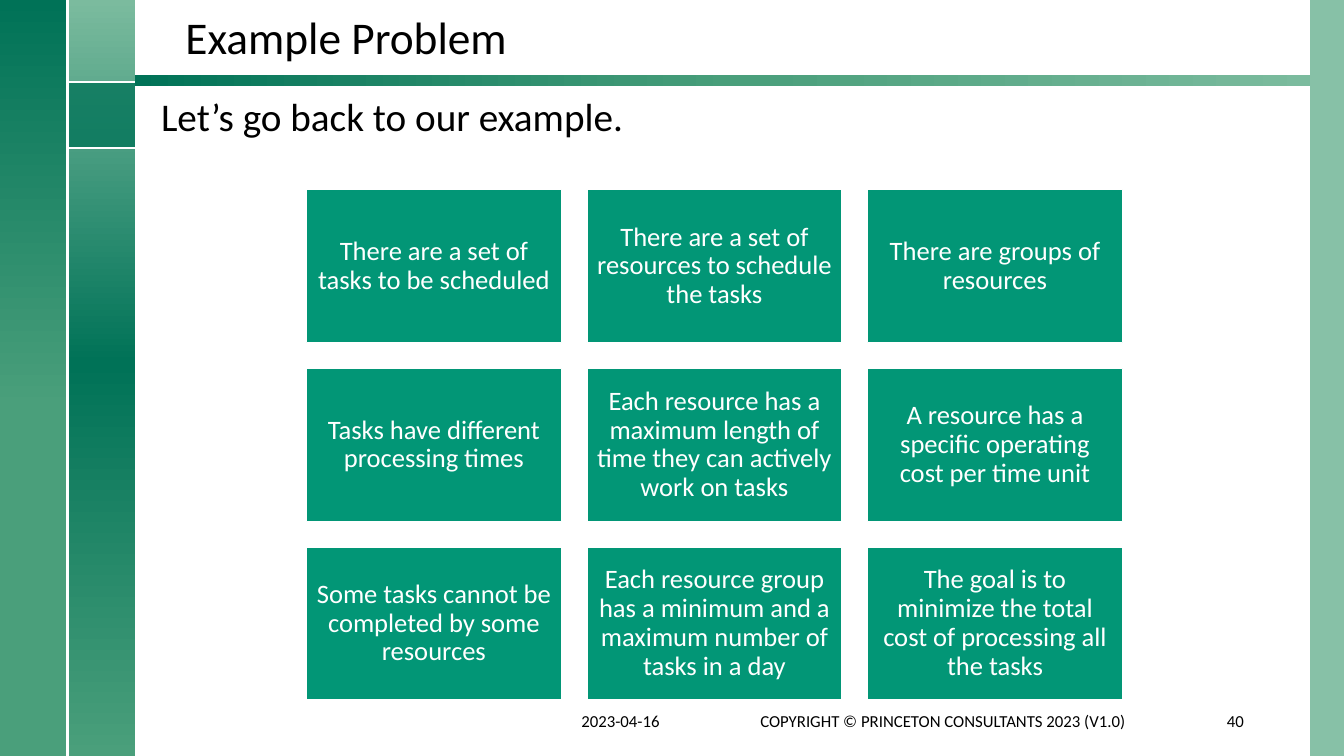
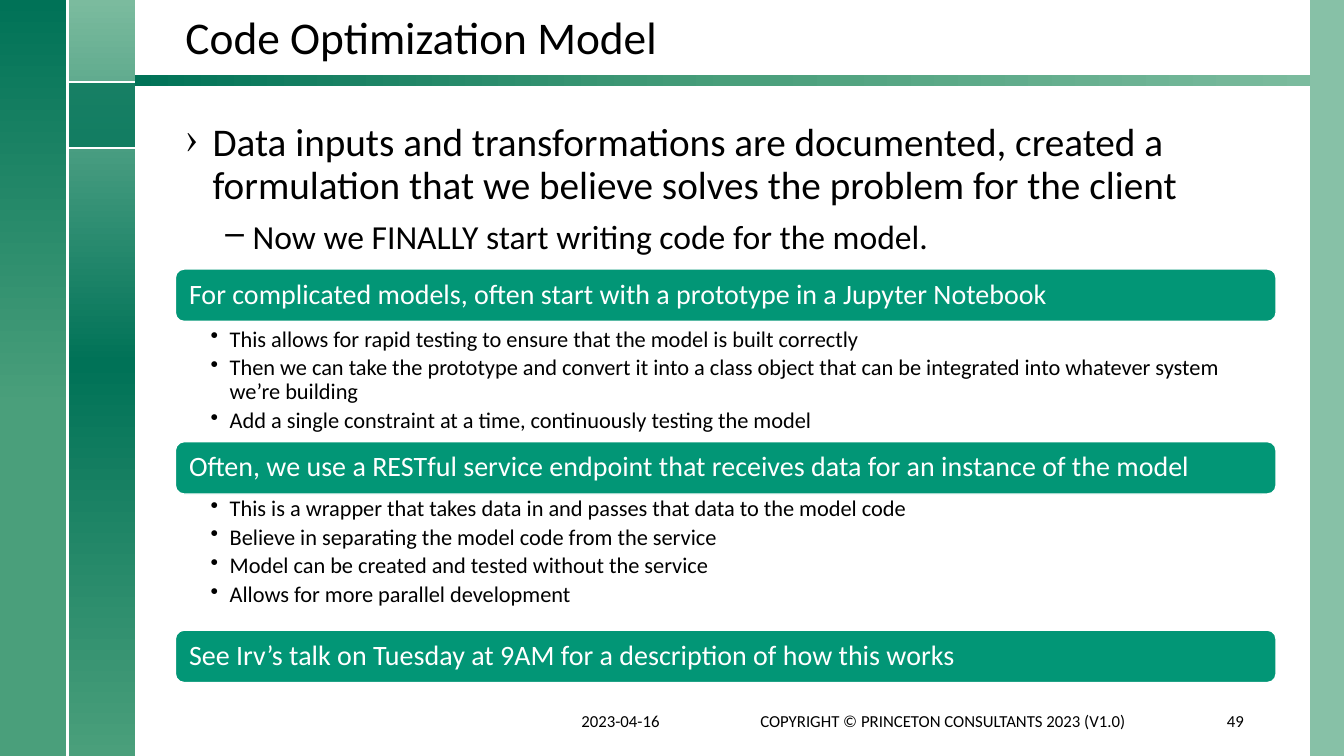
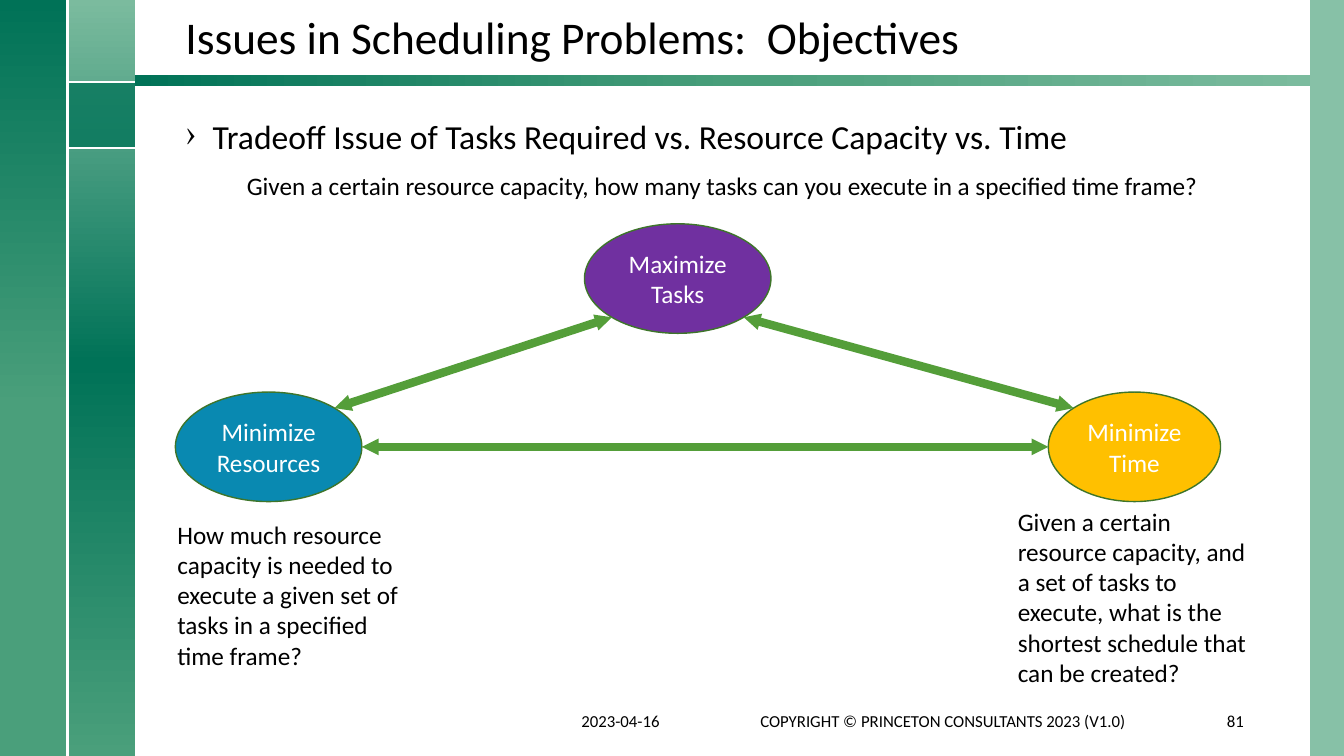
import math

import lxml.etree
import pptx
import pptx.dml.color
import pptx.enum.shapes
import pptx.enum.text
import pptx.oxml.ns
import pptx.util

Cm = pptx.util.Cm
Pt = pptx.util.Pt
RGB = pptx.dml.color.RGBColor.from_string
SHAPE = pptx.enum.shapes.MSO_SHAPE
STRAIGHT = pptx.enum.shapes.MSO_CONNECTOR.STRAIGHT
ALIGN = pptx.enum.text.PP_ALIGN
ANCHOR = pptx.enum.text.MSO_ANCHOR
qn = pptx.oxml.ns.qn

COLOURS = {
    "black": "000000",
    "white": "FFFFFF",
    "pale": "7BBB9E",
    "mid": "4A9F7B",
    "deep": "007257",
    "panel": "029676",
    "arrow": "549E39",
    "outline": "3E752A",
    "tasks": "7030A0",
    "time": "FFC000",
    "resources": "0989B1",
}
FONT = "Calibri"
DATE = "2023-04-16"
COPYRIGHT = "COPYRIGHT © PRINCETON CONSULTANTS 2023 (V1.0)"


def add_box(slide, box, preset=None, fill=None, outline=None,
            anchor=ANCHOR.TOP, margins=(0.25, 0.13, 0.25, 0.13)):
    """Add a preset shape, or a text box if there is no preset; lengths in cm."""
    left, top, width, height = map(Cm, box)
    if preset is None:
        shape = slide.shapes.add_textbox(left, top, width, height)
    else:
        shape = slide.shapes.add_shape(preset, left, top, width, height)
        shape.shadow.inherit = False
        shape.line.fill.background()
    if fill:
        shape.fill.solid()
        shape.fill.fore_color.rgb = RGB(COLOURS[fill])
    if outline:
        shape.line.color.rgb = RGB(COLOURS[outline])
        shape.line.width = Pt(1)
    frame = shape.text_frame
    frame.word_wrap = True
    frame.vertical_anchor = anchor
    (frame.margin_left, frame.margin_top,
     frame.margin_right, frame.margin_bottom) = map(Cm, margins)
    return shape


def write(paragraph, text, size, colour="black", align=ALIGN.LEFT,
          spacing=1.0, bullet=None):
    """Fill and style a paragraph; bullet is (character, left indent, hang) in cm."""
    paragraph.text = text
    if bullet:
        character, indent, hang = bullet
        properties = paragraph._p.get_or_add_pPr()
        properties.set("marL", str(Cm(indent)))
        properties.set("indent", str(-Cm(hang)))
        lxml.etree.SubElement(properties, qn("a:buChar")).set("char", character)
    paragraph.alignment = align
    paragraph.line_spacing = spacing
    paragraph.font.name = FONT
    paragraph.font.size = Pt(size)
    paragraph.font.color.rgb = RGB(COLOURS[colour])


presentation = pptx.Presentation()
presentation.slide_width = Cm(33.87)
presentation.slide_height = Cm(19.05)

# Shared layout: title position and green bands
layout = presentation.slide_layouts[5]
layout_title, *unused = layout.placeholders
for placeholder in unused:
    placeholder.element.getparent().remove(placeholder.element)
layout_title.left, layout_title.top = Cm(4.42), Cm(0.2)
layout_title.width, layout_title.height = Cm(27.18), Cm(1.55)

titles = [
    ("Example Problem", 40),
    ("Code Optimization Model", 49),
    ("Issues in Scheduling Problems:  Objectives", 81),
]
slides = [presentation.slides.add_slide(layout) for _ in titles]
example, coding, objectives = slides

# Each band: box, colour stops (percent, colour), counter-clockwise angle
gradient_bands = [
    ((1.7, 0, 1.7, 19.05), [(0, "pale"), (48, "deep"), (100, "mid")], 270),
    ((0, 0, 1.7, 19.05), [(0, "mid"), (46, "mid"), (100, "deep")], 90),
    ((3.4, 1.9, 29.62, 0.28), [(0, "pale"), (48, "mid"), (100, "deep")], 180),
]
for box, stops, angle in gradient_bands:
    band = add_box(example, box, SHAPE.RECTANGLE)
    band.fill.gradient()
    band.fill.gradient_angle = angle
    stop_list = band.element.spPr.find(".//" + qn("a:gsLst"))
    for old_stop in list(stop_list):
        stop_list.remove(old_stop)
    for percent, colour in stops:
        stop = lxml.etree.SubElement(stop_list, qn("a:gs"))
        stop.set("pos", str(percent * 1000))
        lxml.etree.SubElement(stop, qn("a:srgbClr")).set("val", COLOURS[colour])

translucent_bands = [
    ((33.02, 0, 0.85, 19.05), "pale", 90),
    ((1.7, 2.06, 1.7, 1.68), "deep", 75),
]
for box, colour, opacity in translucent_bands:
    band = add_box(example, box, SHAPE.RECTANGLE, colour)
    colour_element = band.element.spPr.find(".//" + qn("a:srgbClr"))
    lxml.etree.SubElement(colour_element, qn("a:alpha")).set("val", str(opacity * 1000))

for ends in [(1.7, 2.06, 3.4, 2.06), (1.7, 3.74, 3.4, 3.74), (1.7, 0, 1.7, 19.05)]:
    divider = example.shapes.add_connector(STRAIGHT, *map(Cm, ends))
    divider.line.color.rgb = RGB(COLOURS["white"])
    divider.line.width = Pt(1.5)
    lxml.etree.SubElement(divider.element.spPr, qn("a:effectLst"))

# The bands belong to the layout, so that every slide shows them
for shape in list(example.shapes):
    if not shape.is_placeholder:
        layout.shapes.element.append(shape.element)

# Titles and footers
for slide, (title, number) in zip(slides, titles):
    frame = slide.shapes.title.text_frame
    frame.auto_size = pptx.enum.text.MSO_AUTO_SIZE.NONE
    frame.vertical_anchor = ANCHOR.BOTTOM
    write(frame.paragraphs[0], title, 32.4, spacing=0.9)
    footers = [
        (14.4, 3.38, DATE, ALIGN.LEFT),
        (18.19, 11.15, COPYRIGHT, ALIGN.CENTER),
        (29.9, 1.7, str(number), ALIGN.RIGHT),
    ]
    for left, width, text, align in footers:
        footer = add_box(slide, (left, 17.65, width, 1.02), anchor=ANCHOR.MIDDLE)
        write(footer.text_frame.paragraphs[0], text, 12, align=align)

# Example Problem: grid of facts
intro = add_box(example, (3.81, 2.34, 27.18, 1.6))
write(intro.text_frame.paragraphs[0], "Let’s go back to our example.", 28, spacing=0.9)

facts = [
    "There are a set of tasks to be scheduled",
    "There are a set of resources to schedule the tasks",
    "There are groups of resources",
    "Tasks have different processing times",
    "Each resource has a maximum length of time they can actively work on tasks",
    "A resource has a specific operating cost per time unit",
    "Some tasks cannot be completed by some resources",
    "Each resource group has a minimum and a maximum number of tasks in a day",
    "The goal is to minimize the total cost of processing all the tasks",
]
card_width, card_height, gap = 6.43, 3.86, 0.64
for index, fact in enumerate(facts):
    row, column = divmod(index, 3)
    box = (7.72 + column * (card_width + gap), 4.78 + row * (card_height + gap),
           card_width, card_height)
    card = add_box(example, box, SHAPE.RECTANGLE, "panel", "white",
                   ANCHOR.MIDDLE, (0.2, 0.2, 0.2, 0.2))
    write(card.text_frame.paragraphs[0], fact, 19, "white", ALIGN.CENTER, 0.9)

# Code Optimization Model: lead-in, then headings with their details
lead_in = add_box(coding, (4.42, 2.97, 27.18, 3.81)).text_frame
write(lead_in.paragraphs[0],
      "Data inputs and transformations are documented, created a formulation "
      "that we believe solves the problem for the client",
      28, spacing=0.9, bullet=("›", 0.69, 0.69))
now_coding = lead_in.add_paragraph()
now_coding.level = 1
write(now_coding, "Now we FINALLY start writing code for the model.", 24,
      bullet=("–", 1.7, 0.69))
now_coding.space_before = Pt(6)

sections = [
    (6.78, "For complicated models, often start with a prototype in a Jupyter Notebook", 8.18, [
        "This allows for rapid testing to ensure that the model is built correctly",
        "Then we can take the prototype and convert it into a class object that can be "
        "integrated into whatever system we’re building",
        "Add a single constraint at a time, continuously testing the model",
    ]),
    (11.13, "Often, we use a RESTful service endpoint that receives data for an instance "
            "of the model", 12.45, [
        "This is a wrapper that takes data in and passes that data to the model code",
        "Believe in separating the model code from the service",
        "Model can be created and tested without the service",
        "Allows for more parallel development",
    ]),
    (15.88, "See Irv’s talk on Tuesday at 9AM for a description of how this works", None, []),
]
for top, heading, details_top, details in sections:
    bar = add_box(coding, (4.42, top, 27.74, 1.32), SHAPE.ROUNDED_RECTANGLE,
                  "panel", "white", ANCHOR.MIDDLE, (0.28, 0.2, 0.28, 0.2))
    write(bar.text_frame.paragraphs[0], heading, 20, "white", spacing=0.9)
    if details:
        frame = add_box(coding, (4.42, details_top, 27.74, 0.95 * len(details)),
                        margins=(0.89, 0.08, 0.41, 0.08)).text_frame
        for index, detail in enumerate(details):
            paragraph = frame.add_paragraph() if index else frame.paragraphs[0]
            write(paragraph, detail, 16, spacing=0.9, bullet=("•", 0.48, 0.48))
            paragraph.space_after = Pt(3.2)

# Objectives: triangle of competing goals
tradeoff = add_box(objectives, (4.42, 2.9, 27.18, 1.3))
write(tradeoff.text_frame.paragraphs[0],
      "Tradeoff Issue of Tasks Required vs. Resource Capacity vs. Time",
      24, spacing=0.9, bullet=("›", 0.69, 0.69))

goal_height = 2.76
goals = {
    "tasks": (14.73, 5.64, 4.7, "Maximize Tasks"),
    "time": (26.42, 9.88, 4.34, "Minimize Time"),
    "resources": (4.42, 9.88, 4.7, "Minimize Resources"),
}
for goal, (left, top, width, label) in goals.items():
    ellipse = add_box(objectives, (left, top, width, goal_height), SHAPE.OVAL,
                      goal, "outline", ANCHOR.MIDDLE)
    write(ellipse.text_frame.paragraphs[0], label, 18, "white", ALIGN.CENTER)

# Each arrow joins two goals at an angle on their outlines, clockwise from the right
arrows = [
    (("tasks", 45), ("time", 225)),
    (("tasks", 135), ("resources", 315)),
    (("time", 180), ("resources", 0)),
]
for arrow_ends in arrows:
    ends = []
    for goal, angle in arrow_ends:
        left, top, width, _ = goals[goal]
        ends.append(Cm(left + width / 2 * (1 + math.cos(math.radians(angle)))))
        ends.append(Cm(top + goal_height / 2 * (1 + math.sin(math.radians(angle)))))
    arrow = objectives.shapes.add_connector(STRAIGHT, *ends)
    arrow.line.color.rgb = RGB(COLOURS["arrow"])
    arrow.line.width = Pt(6)
    line_element = arrow.element.spPr.find(qn("a:ln"))
    for head in ("a:headEnd", "a:tailEnd"):
        arrowhead = lxml.etree.SubElement(line_element, qn(head))
        arrowhead.set("type", "triangle")
        arrowhead.set("w", "sm")
        arrowhead.set("len", "sm")
    lxml.etree.SubElement(arrow.element.spPr, qn("a:effectLst"))

questions = [
    ((5.97, 4.17, 25.2, 1.1),
     "Given a certain resource capacity, how many tasks can you execute in a "
     "specified time frame?"),
    ((25.4, 12.62, 6.4, 5.0),
     "Given a certain resource capacity, and a set of tasks to execute, what is the "
     "shortest schedule that can be created?"),
    ((4.22, 12.95, 6.6, 4.3),
     "How much resource capacity is needed to execute a given set of tasks in a "
     "specified time frame?"),
]
for box, question in questions:
    write(add_box(objectives, box).text_frame.paragraphs[0], question, 18)

presentation.save("out.pptx")
